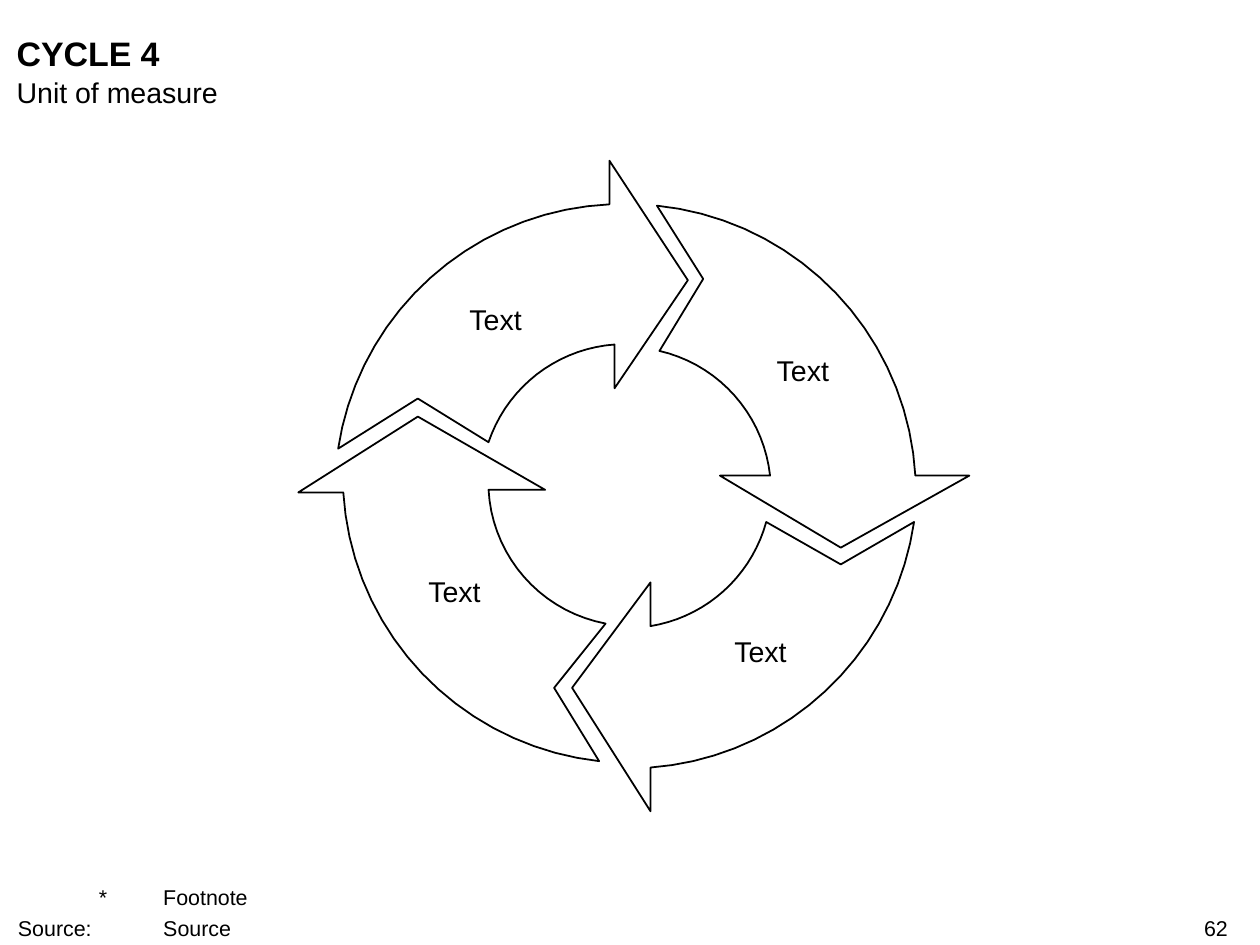
from math import asin, atan2, cos, hypot, sin
from typing import NamedTuple

from lxml.etree import SubElement
from pptx import Presentation
from pptx.dml.color import RGBColor
from pptx.enum.text import MSO_ANCHOR, MSO_AUTO_SIZE, PP_ALIGN
from pptx.oxml.ns import qn
from pptx.util import Emu, Inches, Pt

COLS, ROWS = 98, 73.5
UNIT = Inches(0.1)
INNER, OUTER = 11.2, 22.4
STEPS = 18
INK, PAPER = "000000", "FFFFFF"

Point = tuple[float, float]


class Arrow(NamedTuple):
    inner: tuple[Point, Point]
    head: tuple[Point, Point, Point]
    outer: tuple[Point, Point]
    notch: Point


class Label(NamedTuple):
    text: str
    col: float
    row: float
    wide: float
    high: float
    size: int = 16
    bold: bool = False
    align: PP_ALIGN = PP_ALIGN.LEFT
    anchor: MSO_ANCHOR = MSO_ANCHOR.TOP
    indent: float = 0
    tabs: tuple[tuple[float, str], ...] = ()


ARROWS = [
    Arrow(((38, 34.4), (47.8, 26.8)), ((47.8, 30.2), (53.5, 21.8), (47.4, 12.5)),
          ((26.3, 34.9), (47.4, 15.9)), (32.5, 31)),
    Arrow(((59.6, 40.6), (50.6, 48.7)), ((50.6, 45.3), (44.5, 53.5), (50.6, 63.1)),
          ((71.1, 40.6), (50.6, 59.7)), (65.4, 43.9)),
    Arrow(((47.1, 48.5), (38, 38.1)), ((42.4, 38.1), (32.5, 32.4), (23.2, 38.3)),
          ((46.6, 59.2), (26.7, 38.3)), (43.1, 53.5)),
    Arrow(((51.3, 27.3), (59.9, 37)), ((56, 37), (65.4, 42.6), (75.4, 37)),
          ((51.1, 16), (71.2, 37)), (54.7, 21.7)),
]
SPOTS = [(33.9, 23.5), (57.8, 27.4), (54.5, 49.3), (30.7, 44.6)]
STOPS = ((0, "l"), (5.8, "r"), (9.8, "l"))
LABELS = [
    Label("CYCLE 4", 1.3, 2.5, 94.3, 3.2, size=19, bold=True),
    *[Label("Text", col, row, 9.3, 2.7, align=PP_ALIGN.CENTER,
            anchor=MSO_ANCHOR.MIDDLE) for col, row in SPOTS],
    Label("Unit of measure", 1.3, 5.8, 94.3, 2.7),
    Label("\t*\tFootnote\nSource:\t\tSource", 1.4, 68.8, 89.3, 4.4, size=12,
          anchor=MSO_ANCHOR.BOTTOM, indent=6.3, tabs=STOPS),
    Label("62", 75.1, 71.2, 20.4, 2, size=12, align=PP_ALIGN.RIGHT),
]


def emu(units: float) -> Emu:
    return Emu(round(units * UNIT))


def tint(code: str) -> RGBColor:
    return RGBColor.from_string(code)


def arc(start: Point, end: Point, radius: float) -> list[Point]:
    (ax, ay), (bx, by) = start, end
    dx, dy = bx - ax, by - ay
    chord = hypot(dx, dy)
    half = asin(chord / 2 / radius)
    reach = radius * cos(half) / chord
    cx, cy = (ax + bx) / 2 - dy * reach, (ay + by) / 2 + dx * reach
    first = atan2(ay - cy, ax - cx)
    turns = [first + 2 * half * step / STEPS for step in range(STEPS + 1)]
    return [(cx + radius * cos(turn), cy + radius * sin(turn)) for turn in turns]


def draw(shapes, arrow: Arrow) -> None:
    rim = arc(*arrow.outer, OUTER)[::-1]
    outline = [*arc(*arrow.inner, INNER), *arrow.head, *rim, arrow.notch]
    first, *rest = [(emu(x), emu(y)) for x, y in outline]
    pen = shapes.build_freeform(*first)
    pen.add_line_segments(rest, close=True)
    shape = pen.convert_to_shape()
    shape.shadow.inherit = False
    shape.fill.solid()
    shape.fill.fore_color.rgb = tint(PAPER)
    shape.line.color.rgb = tint(INK)
    shape.line.width = Pt(1)


def dent(para, label: Label) -> None:
    props = para._p.get_or_add_pPr()
    props.set("marL", str(emu(label.indent)))
    props.set("indent", str(emu(-label.indent)))
    stops = SubElement(props, qn("a:tabLst"))
    for place, side in label.tabs:
        SubElement(stops, qn("a:tab"), pos=str(emu(place)), algn=side)


def write(shapes, label: Label) -> None:
    box = shapes.add_textbox(emu(label.col), emu(label.row),
                             emu(label.wide), emu(label.high))
    frame = box.text_frame
    frame.margin_left = frame.margin_right = 0
    frame.margin_top = frame.margin_bottom = 0
    frame.word_wrap = True
    frame.auto_size = MSO_AUTO_SIZE.SHAPE_TO_FIT_TEXT
    frame.vertical_anchor = label.anchor
    frame.text = label.text
    for rank, para in enumerate(frame.paragraphs):
        if label.tabs:
            dent(para, label)
        if rank:
            para.space_before = Pt(3)
        para.alignment = label.align
        para.font.name = "Arial"
        para.font.size = Pt(label.size)
        para.font.bold = label.bold
        para.font.color.rgb = tint(INK)


def main() -> None:
    deck = Presentation()
    deck.slide_width, deck.slide_height = emu(COLS), emu(ROWS)
    shapes = deck.slides.add_slide(deck.slide_layouts[6]).shapes
    for arrow in ARROWS:
        draw(shapes, arrow)
    for label in LABELS:
        write(shapes, label)
    deck.save("out.pptx")


if __name__ == "__main__":
    main()
